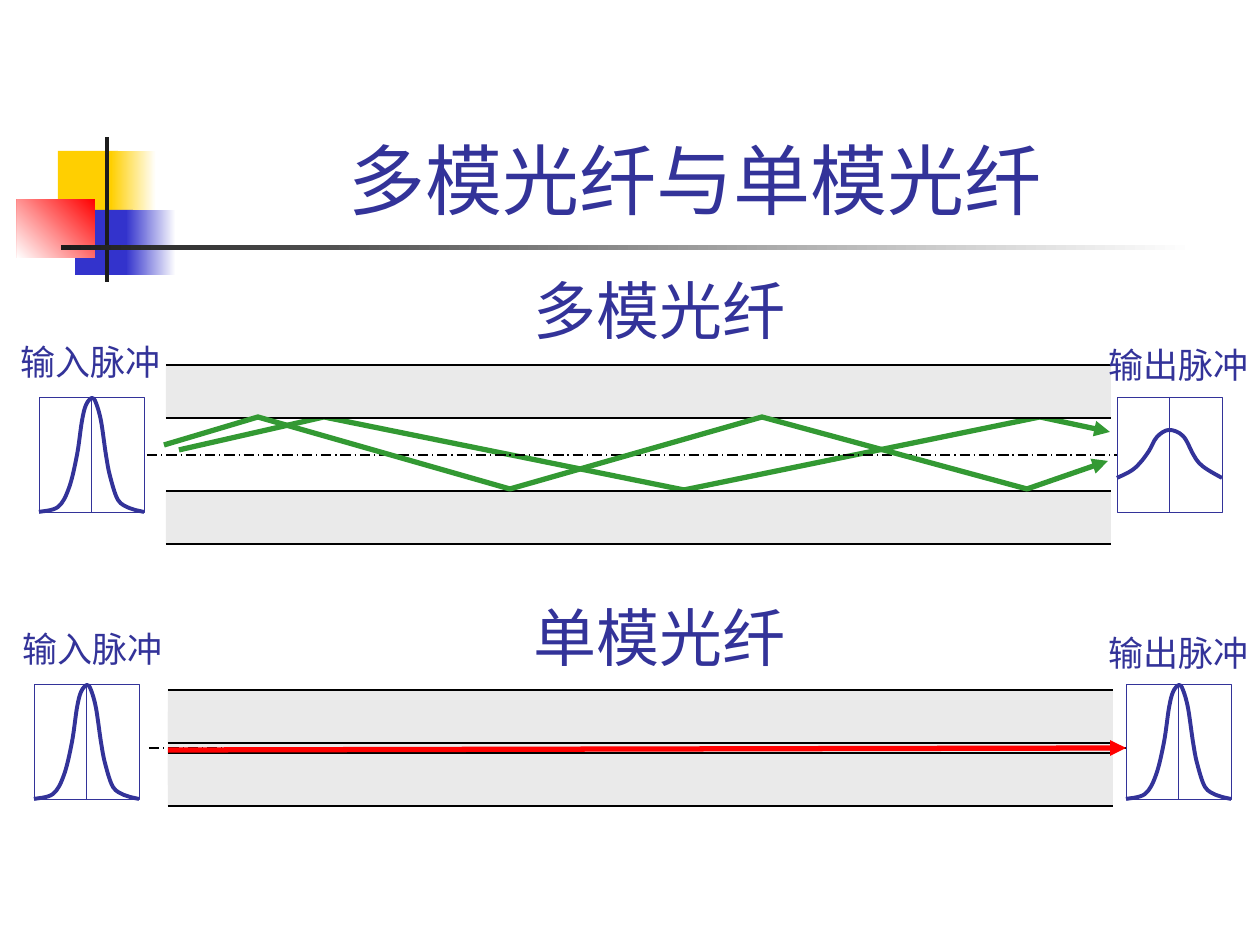
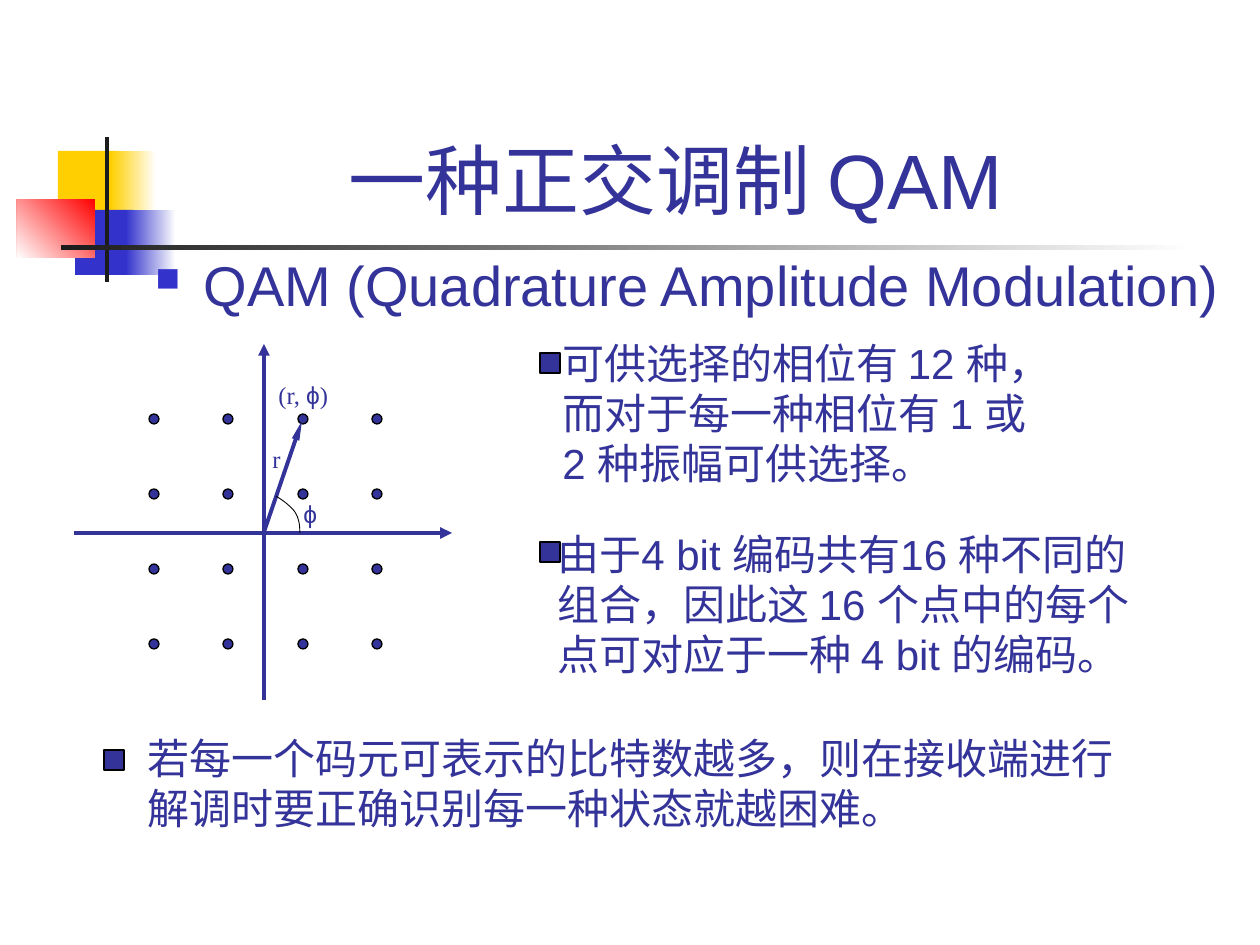
from pptx import Presentation
from pptx import util as u
from pptx.dml.color import RGBColor
from pptx.enum import dml, shapes, text
from pptx.oxml.ns import qn
from lxml import etree

PX = 914400 / 126
COLORS = {
    "ink": "333399", "blue": "3333CC", "yellow": "FFCF01", "red": "FF0000",
    "dark": "1C1C1C", "black": "000000", "white": "FFFFFF",
    "cladding": "EAEAEA", "ray": "339933",
}
CJK = "Noto Sans CJK SC"
BOX_W, BOX_H = 105, 116
CLADDING_H, FIBER_W = 53, 945
NARROW_PULSE = [(0, 115), (19, 110), (30, 91), (38, 58), (43, 24), (47, 8), (53, 1), (57, 6),
                (62, 24), (67, 58), (71, 79), (79, 103), (90, 111), (96, 113), (105, 115)]
WIDE_PULSE = [(0, 81), (14, 74), (23, 66), (32, 54), (40, 40), (52, 33),
              (66, 39), (76, 57), (82, 66), (91, 73), (105, 81)]


def px(n):
    return u.Emu(round(n * PX))


def rgb(name):
    return RGBColor.from_string(COLORS[name])


def add_block(s, x, y, w, h, fill, line=None, width=0.75, kind=shapes.MSO_SHAPE.RECTANGLE):
    sp = s.shapes.add_shape(kind, px(x), px(y), px(w), px(h))
    sp.shadow.inherit = False
    sp.fill.solid()
    sp.fill.fore_color.rgb = rgb(fill)
    if line:
        sp.line.color.rgb = rgb(line)
        sp.line.width = u.Pt(width)
    else:
        sp.line.fill.background()
    return sp


def add_fade(s, x, y, w, h, start, end, angle=180):
    """Borderless rectangle with a two-stop gradient."""
    sp = add_block(s, x, y, w, h, start)
    sp.fill.gradient()
    sp.fill.gradient_angle = angle
    for stop, name in zip(sp.fill.gradient_stops, (start, end)):
        stop.color.rgb = rgb(name)


def add_arrowhead(sp, w="med", length="med"):
    ln = sp.line._get_or_add_ln()
    etree.SubElement(ln, qn("a:tailEnd"), type="triangle", w=w, len=length)


def add_line(s, x1, y1, x2, y2, color="black", width=0.75, dash=None):
    c = s.shapes.add_connector(shapes.MSO_CONNECTOR.STRAIGHT, px(x1), px(y1), px(x2), px(y2))
    c.line.color.rgb = rgb(color)
    c.line.width = u.Pt(width)
    if dash:
        c.line.dash_style = dash
    etree.SubElement(c._element.spPr, qn("a:effectLst"))
    return c


def add_arrow(s, x1, y1, x2, y2, color="ink", width=2.25, **head):
    add_arrowhead(add_line(s, x1, y1, x2, y2, color, width), **head)


def add_path(s, points, color, width):
    start, *rest = [(px(x), px(y)) for x, y in points]
    builder = s.shapes.build_freeform(*start, scale=1.0)
    builder.add_line_segments(rest, close=False)
    sp = builder.convert_to_shape()
    sp.shadow.inherit = False
    sp.fill.background()
    sp.line.color.rgb = rgb(color)
    sp.line.width = u.Pt(width)
    return sp


def add_ray(s, points):
    add_arrowhead(add_path(s, points, "ray", 3))


def add_curve(s, points, color, width):
    """Path whose straight segments become Catmull-Rom Bézier segments."""
    sp = add_path(s, points, color, width)
    nodes = [(int(pt.get("x")), int(pt.get("y"))) for pt in sp._element.iter(qn("a:pt"))]
    padded = [nodes[0], *nodes, nodes[-1]]
    segments = list(sp._element.iter(qn("a:lnTo")))
    for i, segment in enumerate(segments):
        before, start, end, after = padded[i:i + 4]
        controls = (
            [b + (e - a) / 6 for a, b, e in zip(before, start, end)],
            [e - (a - b) / 6 for b, e, a in zip(start, end, after)],
            end,
        )
        bezier = etree.Element(qn("a:cubicBezTo"))
        for x, y in controls:
            etree.SubElement(bezier, qn("a:pt"), x=str(round(x)), y=str(round(y)))
        segment.getparent().replace(segment, bezier)


def format_run(r, size, font):
    r.font.size = u.Pt(size)
    r.font.name = font
    r.font.color.rgb = rgb("ink")
    etree.SubElement(r._r.get_or_add_rPr(), qn("a:ea"), typeface=CJK)


def add_text(s, x, y, w, h, words, size, font="Arial", wrap=False):
    sp = s.shapes.add_textbox(px(x), px(y), px(w), px(h))
    tf = sp.text_frame
    tf.text = words
    tf.word_wrap = wrap
    tf.auto_size = text.MSO_AUTO_SIZE.NONE if wrap else text.MSO_AUTO_SIZE.SHAPE_TO_FIT_TEXT
    for p in tf.paragraphs:
        for r in p.runs:
            format_run(r, size, font)
    return tf


def add_title(s, x, w, words):
    tf = add_text(s, x, 29, w, 202, words, 44, wrap=True)
    tf.vertical_anchor = text.MSO_ANCHOR.BOTTOM
    tf.paragraphs[0].alignment = text.PP_ALIGN.CENTER


def add_bullet(p):
    pPr = p._p.get_or_add_pPr()
    pPr.set("marL", str(px(48)))
    pPr.set("indent", str(-px(48)))
    color = etree.SubElement(pPr, qn("a:buClr"))
    etree.SubElement(color, qn("a:srgbClr"), val=COLORS["blue"])
    etree.SubElement(pPr, qn("a:buSzPct"), val="60000")
    etree.SubElement(pPr, qn("a:buFont"), typeface="Wingdings", charset="2")
    etree.SubElement(pPr, qn("a:buChar"), char="n")


def add_decoration(s):
    add_block(s, 58, 151, 60, 66, "yellow")
    add_fade(s, 111, 151, 45, 66, "white", "yellow")
    add_block(s, 75, 210, 58, 65, "blue")
    add_fade(s, 126, 210, 50, 65, "white", "blue")
    add_fade(s, 17, 199, 78, 59, "red", "white", angle=225)
    add_block(s, 105, 137, 4, 145, "dark")
    add_fade(s, 61, 245, 1134, 5, "white", "dark")


def new_slide(prs):
    s = prs.slides.add_slide(prs.slide_layouts[6])
    add_decoration(s)
    return s


def add_fiber(s, x, top, core_h):
    """Two cladding layers, each with a line along both edges."""
    for y in (top, top + CLADDING_H + core_h):
        add_block(s, x, y, FIBER_W, CLADDING_H, "cladding")
        for edge in (y, y + CLADDING_H):
            add_line(s, x, edge, x + FIBER_W, edge)


def add_axis(s, x1, x2, y):
    return add_line(s, x1, y, x2, y, dash=dml.MSO_LINE.LONG_DASH_DOT)


def add_pulse(s, x, y, profile):
    box = add_block(s, x, y, BOX_W, BOX_H, "white", "ink", 0.5)
    center = add_line(s, x, y, x, y + BOX_H, "ink", 0.5)
    center.begin_connect(box, 0)
    center.end_connect(box, 2)
    add_curve(s, [(x + dx, y + dy) for dx, dy in profile], "ink", 2.25)
    return box


def add_caption(s, x, y, words):
    add_text(s, x, y, 168, 55, words, 20, CJK)


def add_heading(s, y, words):
    add_text(s, 521, y, 278, 88, words, 36, "Karla")


def build_fiber_slide(prs):
    s = new_slide(prs)
    add_title(s, 158, 1074, "多模光纤与单模光纤")

    add_heading(s, 592, "单模光纤")
    add_block(s, 168, 712, FIBER_W, 73, "cladding")
    add_fiber(s, 168, 690, 10)
    add_axis(s, 149, 1128, 748)
    add_pulse(s, 34, 684, NARROW_PULSE)
    add_pulse(s, 1126, 684, NARROW_PULSE)
    add_caption(s, 10, 621, "输入脉冲")
    add_caption(s, 1096, 625, "输出脉冲")
    add_arrow(s, 168, 750, 1126, 748, "red", 3)

    add_heading(s, 265, "多模光纤")
    add_ray(s, [(179, 450), (324, 417), (684, 490), (1040, 417), (1110, 432)])
    add_fiber(s, 166, 365, 73)
    add_pulse(s, 39, 397, NARROW_PULSE)
    output_box = add_pulse(s, 1117, 397, WIDE_PULSE)
    add_axis(s, 147, 1117, 455).end_connect(output_box, 1)
    add_caption(s, 8, 334, "输入脉冲")
    add_caption(s, 1096, 337, "输出脉冲")
    add_ray(s, [(164, 445), (258, 417), (510, 489), (762, 417), (1027, 489), (1108, 461)])


def add_constellation(s):
    add_arrow(s, 264, 700, 264, 344)
    for row in range(4):
        for col in range(4):
            add_block(s, 149 + 149 * col // 2, 414 + 75 * row, 10, 10, "ink", "black",
                      kind=shapes.MSO_SHAPE.OVAL)
    add_arrow(s, 74, 533, 452, 533)
    add_arrow(s, 264, 532, 302, 421, w="sm", length="lg")
    add_curve(s, [(276, 496), (286, 503), (295, 512), (299, 522), (300, 533)], "black", 0.5)
    add_text(s, 260, 438, 35, 43, "r", 14, "Times New Roman")
    add_text(s, 291, 493, 42, 43, "ϕ", 14)
    p = add_text(s, 266, 374, 79, 43, "(r, ", 14, "Times New Roman").paragraphs[0]
    for words, font in (("ϕ", "Arial"), (")", "Times New Roman")):
        r = p.add_run()
        r.text = words
        format_run(r, 14, font)


def build_qam_slide(prs):
    s = new_slide(prs)
    add_title(s, 127, 1119, "一种正交调制 QAM ")
    p = add_text(s, 143, 244, 1117, 100, "QAM (Quadrature Amplitude Modulation)",
                 32, wrap=True).paragraphs[0]
    p.space_before = u.Pt(8)
    add_bullet(p)
    add_constellation(s)
    add_text(s, 550, 331, 546, 164,
             "可供选择的相位有 12 种，\n而对于每一种相位有 1 或\n2 种振幅可供选择。", 24)
    add_text(s, 545, 522, 642, 164,
             "由于4 bit 编码共有16 种不同的\n组合，因此这 16 个点中的每个\n点可对应于一种 4 bit 的编码。", 24)
    add_text(s, 135, 726, 996, 113,
             "若每一个码元可表示的比特数越多，则在接收端进行\n解调时要正确识别每一种状态就越困难。", 24, CJK)
    for x, y in ((104, 750), (540, 542), (540, 353)):
        add_block(s, x, y, 20, 20, "ink", "black")


def main():
    prs = Presentation()
    prs.slide_width, prs.slide_height = px(1260), px(945)
    build_fiber_slide(prs)
    build_qam_slide(prs)
    prs.save("out.pptx")


if __name__ == "__main__":
    main()
